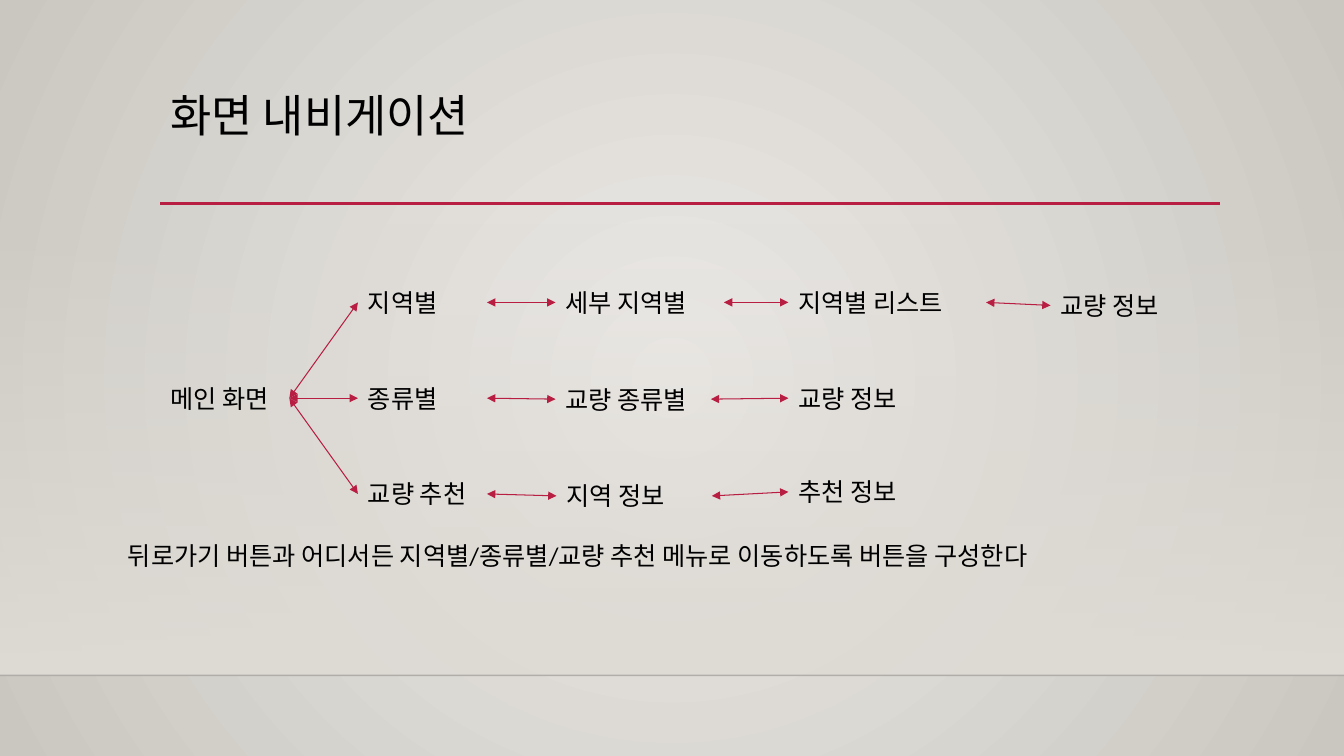
from dataclasses import dataclass

from lxml import etree
from pptx import Presentation
from pptx import util as u
from pptx.dml.color import RGBColor
from pptx.enum import shapes, text
from pptx.oxml.ns import qn

SCALE = 9144
WIDTH, HEIGHT = 1333, 750
LEFT, RIGHT = 1, 3
FONT = "Calibri"
COLORS = {
    "center": "ECEAE7",
    "edge": "CAC7C1",
    "band": "DFDBD5",
    "accent": "B71E42",
    "ink": "000000",
}


@dataclass(frozen=True)
class Screen:
    key: str
    label: str
    x: int
    y: int
    width: int


SCREENS = [
    Screen("main", "메인 화면", 159, 375, 128),
    Screen("region", "지역별", 355, 280, 128),
    Screen("kind", "종류별", 355, 375, 128),
    Screen("pick", "교량 추천", 355, 470, 128),
    Screen("subregion", "세부 지역별", 551, 280, 167),
    Screen("bridge_kind", "교량 종류별", 551, 376, 154),
    Screen("pick_region", "지역 정보", 552, 472, 154),
    Screen("region_list", "지역별 리스트", 782, 280, 196),
    Screen("kind_bridge", "교량 정보", 782, 375, 167),
    Screen("pick_info", "추천 정보", 782, 468, 154),
    Screen("region_bridge", "교량 정보", 1042, 283, 167),
]
ROUTES = [
    ("main", "region", "subregion", "region_list", "region_bridge"),
    ("main", "kind", "bridge_kind", "kind_bridge"),
    ("main", "pick", "pick_region", "pick_info"),
]
NOTICE = "뒤로가기 버튼과 어디서든 지역별/종류별/교량 추천 메뉴로 이동하도록 버튼을 구성한다"


def px(value: int) -> u.Emu:
    return u.Emu(value * SCALE)


def color(name: str) -> RGBColor:
    return RGBColor.from_string(COLORS[name])


def set_alpha(element, percent: int) -> None:
    shade = next(element.iter(qn("a:srgbClr")))
    etree.SubElement(shade, qn("a:alpha"), val=str(percent * 1000))


def set_gradient(fill, first: str, last: str) -> None:
    fill.gradient()
    for stop, name, position in zip(fill.gradient_stops, (first, last), (0, 1)):
        stop.color.rgb = color(name)
        stop.position = position


def write(box, content: str, *, size: int = 18, spacing: float = 1.0,
          autosize=text.MSO_AUTO_SIZE.SHAPE_TO_FIT_TEXT) -> None:
    frame = box.text_frame
    frame.word_wrap = True
    frame.auto_size = autosize
    frame.vertical_anchor = text.MSO_ANCHOR.TOP
    para = frame.paragraphs[0]
    para.alignment = text.PP_ALIGN.LEFT
    para.line_spacing = spacing
    span = para.add_run()
    span.text = content
    span.font.name = FONT
    span.font.size = u.Pt(size)
    span.font.color.rgb = color("ink")


def add_label(page, content: str, x: int, y: int, width: int):
    box = page.shapes.add_textbox(px(x), px(y), px(width), px(40))
    write(box, content)
    return box


def add_line(page, x1: int, y1: int, x2: int, y2: int, *,
             name: str = "accent", weight: float = 0.75):
    line = page.shapes.add_connector(
        shapes.MSO_CONNECTOR.STRAIGHT, px(x1), px(y1), px(x2), px(y2))
    line.line.color.rgb = color(name)
    line.line.width = u.Pt(weight)
    etree.SubElement(line.element.spPr, qn("a:effectLst"))
    return line


def link(page, start, finish) -> None:
    arrow = add_line(page, 0, 0, 0, 0)
    arrow.begin_connect(start, RIGHT)
    arrow.end_connect(finish, LEFT)
    outline = arrow.element.spPr.find(qn("a:ln"))
    for tag in ("a:headEnd", "a:tailEnd"):
        etree.SubElement(outline, qn(tag), type="triangle")


def draw_backdrop(page) -> None:
    set_gradient(page.background.fill, "center", "edge")
    linear = next(page.element.iter(qn("a:lin")))
    radial = etree.Element(qn("a:path"), path="circle")
    etree.SubElement(radial, qn("a:fillToRect"),
                     l="50000", t="50000", r="50000", b="50000")
    linear.getparent().replace(linear, radial)

    band = page.shapes.add_shape(
        shapes.MSO_SHAPE.RECTANGLE, 0, px(221), px(WIDTH), px(449))
    band.shadow.inherit = False
    set_gradient(band.fill, "band", "band")
    band.fill.gradient_angle = 270
    set_alpha(band.element.spPr, 0)
    band.line.fill.background()

    floor = add_line(page, 0, 670, WIDTH, 670, name="ink", weight=1)
    set_alpha(floor.element.spPr, 20)
    add_line(page, 159, 202, 1210, 202, weight=2.5)


def main() -> None:
    deck = Presentation()
    deck.slide_width, deck.slide_height = px(WIDTH), px(HEIGHT)
    page = deck.slides.add_slide(deck.slide_layouts[5])
    draw_backdrop(page)

    title = page.shapes.title
    title.left, title.top = px(159), px(88)
    title.width, title.height = px(1050), px(115)
    write(title, "화면 내비게이션", size=32, spacing=0.9,
          autosize=text.MSO_AUTO_SIZE.NONE)

    boxes = {screen.key: add_label(page, screen.label, screen.x, screen.y, screen.width)
             for screen in SCREENS}
    for route in ROUTES:
        for start, finish in zip(route, route[1:]):
            link(page, boxes[start], boxes[finish])
    add_label(page, NOTICE, 117, 531, 1120)
    deck.save("out.pptx")


if __name__ == "__main__":
    main()
